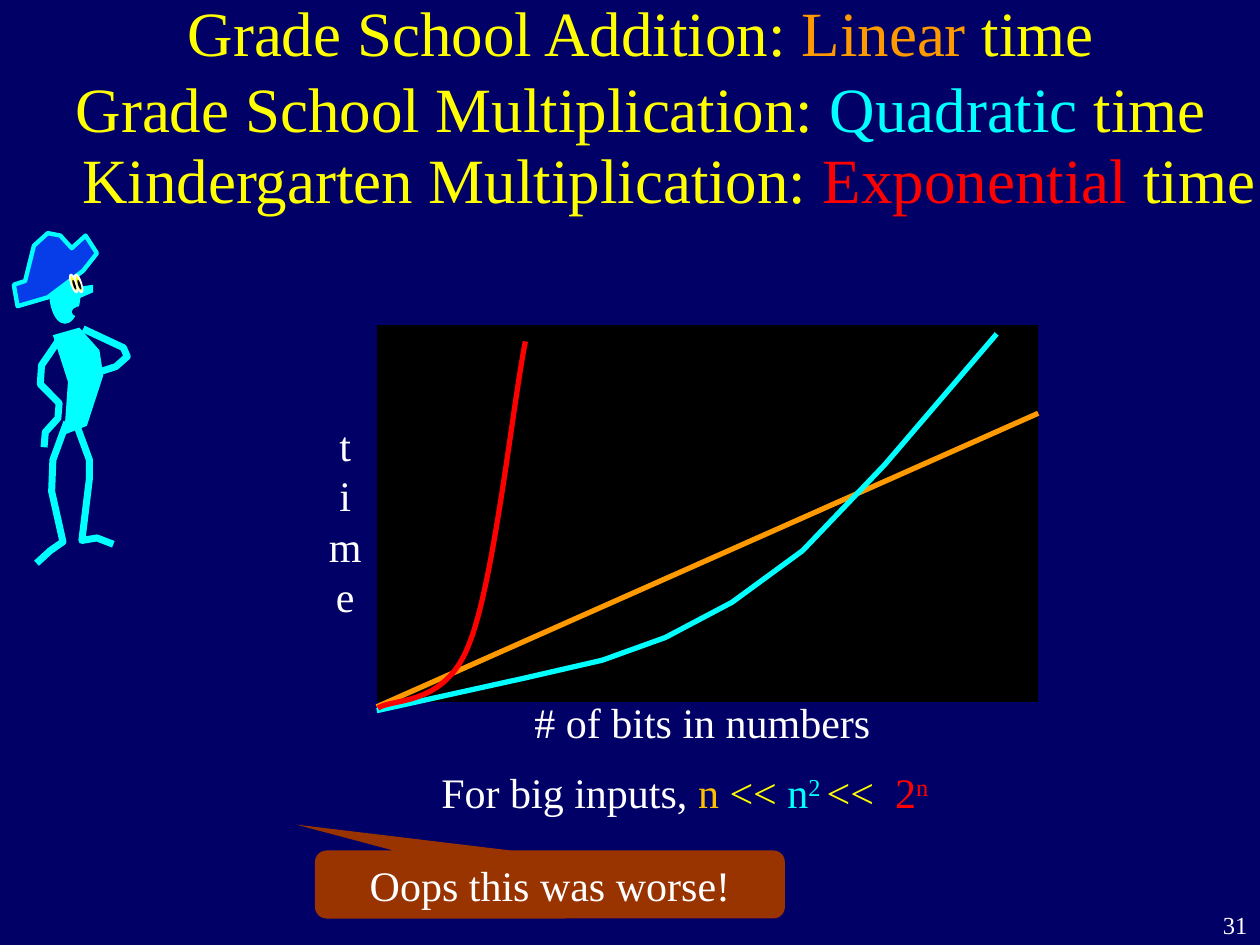
import pptx
import pptx.dml.color
import pptx.enum.shapes
import pptx.enum.text
import pptx.oxml
import pptx.oxml.ns
import pptx.util

PX = 9144
FONT = "Times New Roman"
RGBColor = pptx.dml.color.RGBColor
NAVY = RGBColor(0x00, 0x00, 0x66)
BLACK = RGBColor(0x00, 0x00, 0x00)
WHITE = RGBColor(0xFF, 0xFF, 0xFF)
YELLOW = RGBColor(0xFF, 0xFF, 0x00)
ORANGE = RGBColor(0xFF, 0x99, 0x00)
GOLD = RGBColor(0xFF, 0xC0, 0x00)
CYAN = RGBColor(0x00, 0xFF, 0xFF)
RED = RGBColor(0xFF, 0x00, 0x00)
BLUE = RGBColor(0x06, 0x3D, 0xE8)
BROWN = RGBColor(0x99, 0x33, 0x00)

ALIGN = pptx.enum.text.PP_ALIGN
ANCHOR = pptx.enum.text.MSO_ANCHOR
SHAPE = pptx.enum.shapes.MSO_SHAPE

PLOT_LEFT, PLOT_TOP, PLOT_WIDTH, PLOT_HEIGHT = 299, 258, 525, 299
QUADRATIC = [(299, 564), (417, 538), (478, 524), (528, 506), (581, 478), (637, 437), (702, 369),
             (791, 265)]
EXPONENTIAL = [(300, 562), (312, 554), (353, 561), (372, 512), (392, 464), (407, 321), (417, 271)]

LIMBS = {
    "left arm": [(48, 268), (33, 290), (32, 305), (47, 320), (46, 332), (36, 343), (35, 355)],
    "right arm": [(66, 261), (98, 276), (101, 283), (92, 291), (67, 299)],
    "left leg": [(53, 335), (42, 365), (41, 390), (50, 430), (40, 437), (29, 447)],
    "right leg": [(60, 335), (71, 365), (71, 380), (65, 429), (77, 427), (90, 432)],
}
TORSO = [(42, 266), (63, 260), (79, 278), (82, 298), (69, 338), (51, 345), (54, 303)]
NOSE = [(60, 228), (74, 226), (74, 232), (60, 238)]
HAT = [(11, 226), (20, 223), (27, 195), (38, 185), (48, 187), (57, 197), (68, 187), (77, 201),
       (66, 215), (38, 236), (14, 243)]


def px(*lengths):
    return [length * PX for length in lengths]


def make_element(tag):
    return pptx.oxml.parse_xml(f"<a:{tag} {pptx.oxml.ns.nsdecls('a')}/>")


def write_text(shape, runs, size=24, align=ALIGN.CENTER, anchor=ANCHOR.TOP, wrap=True,
               line_spacing=None):
    frame = shape.text_frame
    frame.auto_size = pptx.enum.text.MSO_AUTO_SIZE.NONE
    frame.word_wrap = wrap
    frame.vertical_anchor = anchor
    paragraph = frame.paragraphs[0]
    paragraph.alignment = align
    paragraph.space_before = pptx.util.Pt(0)
    if line_spacing:
        paragraph.line_spacing = line_spacing
    for text, color, *raised in runs:
        for index, line in enumerate(text.split("\n")):
            if index:
                paragraph.add_line_break()
            run = paragraph.add_run()
            run.text = line
            run.font.name = FONT
            run.font.size = pptx.util.Pt(size)
            run.font.color.rgb = color
            if raised:
                run.font._element.set("baseline", "30000")


def add_label(slide, box, runs, **text_format):
    write_text(slide.shapes.add_textbox(*px(*box)), runs, **text_format)


def fill_placeholder(shape, box, runs, **text_format):
    shape.left, shape.top, shape.width, shape.height = px(*box)
    write_text(shape, runs, **text_format)


def paint(shape, fill=None, line=None, width=3):
    shape.shadow.inherit = False
    if fill is None:
        shape.fill.background()
    else:
        shape.fill.solid()
        shape.fill.fore_color.rgb = fill
    if line is None:
        shape.line.fill.background()
    else:
        shape.line.color.rgb = line
        shape.line.width = pptx.util.Pt(width)


def add_shape(slide, kind, box, fill, rotation=0, **line_format):
    shape = slide.shapes.add_shape(kind, *px(*box))
    shape.rotation = rotation
    paint(shape, fill, **line_format)
    return shape


def add_outline(slide, points, fill=None, **line_format):
    builder = slide.shapes.build_freeform(*points[0], scale=PX)
    builder.add_line_segments(points[1:], close=fill is not None)
    shape = builder.convert_to_shape()
    paint(shape, fill, **line_format)
    return shape


def add_curve(slide, points, color):
    shape = add_outline(slide, points, line=color)
    segments = shape._element.xpath(".//a:path/a:lnTo")
    for start in range(0, len(segments), 3):
        curve = make_element("cubicBezTo")
        segments[start].addprevious(curve)
        for segment in segments[start:start + 3]:
            curve.append(segment[0])
            segment.getparent().remove(segment)


def add_line(slide, start, end, color):
    connector = slide.shapes.add_connector(
        pptx.enum.shapes.MSO_CONNECTOR.STRAIGHT, *px(*start, *end))
    connector.line.color.rgb = color
    connector.line.width = pptx.util.Pt(3)
    connector._element.spPr.append(make_element("effectLst"))


def add_titles(slide, title):
    fill_placeholder(title, (17, -10, 983, 167), [
        ("Grade School Addition: ", YELLOW), ("Linear", ORANGE),
        (" time\nGrade School Multiplication: ", YELLOW), ("Quadratic", CYAN),
        (" time", YELLOW)], size=36)
    add_label(slide, (33, 100, 983, 83), [
        (" Kindergarten Multiplication: ", YELLOW), ("Exponential", RED), (" time", YELLOW)],
        size=36, anchor=ANCHOR.MIDDLE)


def add_comparison(body):
    properties = body.text_frame.paragraphs[0]._p.get_or_add_pPr()
    properties.set("marL", "0")
    properties.set("indent", "0")
    properties.append(make_element("buNone"))
    fill_placeholder(body, (142, 608, 803, 98), [
        ("For big inputs, ", WHITE), ("n ", GOLD), ("<<", YELLOW), (" n", CYAN),
        ("2 ", CYAN, True), ("<<  ", YELLOW), ("2", RED), ("n", RED, True)], line_spacing=0.9)


def add_stick_figure(slide):
    for joints in LIMBS.values():
        add_outline(slide, joints, line=CYAN, width=4)
    add_outline(slide, TORSO, fill=CYAN)
    add_shape(slide, SHAPE.OVAL, (39, 207, 25, 50), CYAN)
    add_outline(slide, NOSE, fill=CYAN)
    add_outline(slide, HAT, fill=BLUE, line=CYAN, width=2.5)
    for left in (51, 55):
        add_shape(slide, SHAPE.OVAL, (left, 223, 15, 4), YELLOW, rotation=71.4,
                  line=WHITE, width=1)
        add_shape(slide, SHAPE.OVAL, (left + 4, 225, 8, 2), BLACK, rotation=71.4)
    add_shape(slide, SHAPE.OVAL, (57, 243, 16, 9), NAVY)


def add_growth_plot(slide):
    add_shape(slide, SHAPE.RECTANGLE, (PLOT_LEFT, PLOT_TOP, PLOT_WIDTH, PLOT_HEIGHT), BLACK)
    add_label(slide, (414, 548, 287, 50), [("# of bits in numbers", WHITE)], wrap=False)
    add_label(slide, (PLOT_LEFT - 50, 328, 50, 170), [("t\nime", WHITE)])
    add_line(slide, (PLOT_LEFT + PLOT_WIDTH, 328), (PLOT_LEFT, 561), ORANGE)
    add_outline(slide, QUADRATIC, line=CYAN)
    add_curve(slide, EXPONENTIAL, RED)


def add_callout(slide):
    callout = add_shape(slide, SHAPE.ROUNDED_RECTANGULAR_CALLOUT, (250, 675, 373, 54), BROWN)
    for index, value in enumerate((-0.54, -0.88, 0.17)):
        callout.adjustments[index] = value
    write_text(callout, [("Oops this was worse!", WHITE)], anchor=ANCHOR.MIDDLE)


def main():
    presentation = pptx.Presentation()
    presentation.slide_width, presentation.slide_height = px(1000, 750)
    slide = presentation.slides.add_slide(presentation.slide_layouts[1])
    slide.background.fill.solid()
    slide.background.fill.fore_color.rgb = NAVY
    title, body = slide.placeholders
    add_titles(slide, title)
    add_comparison(body)
    add_stick_figure(slide)
    add_growth_plot(slide)
    add_callout(slide)
    add_label(slide, (950, 717, 50, 33), [("31", WHITE)], size=14, align=ALIGN.RIGHT)
    presentation.save("out.pptx")


if __name__ == "__main__":
    main()
